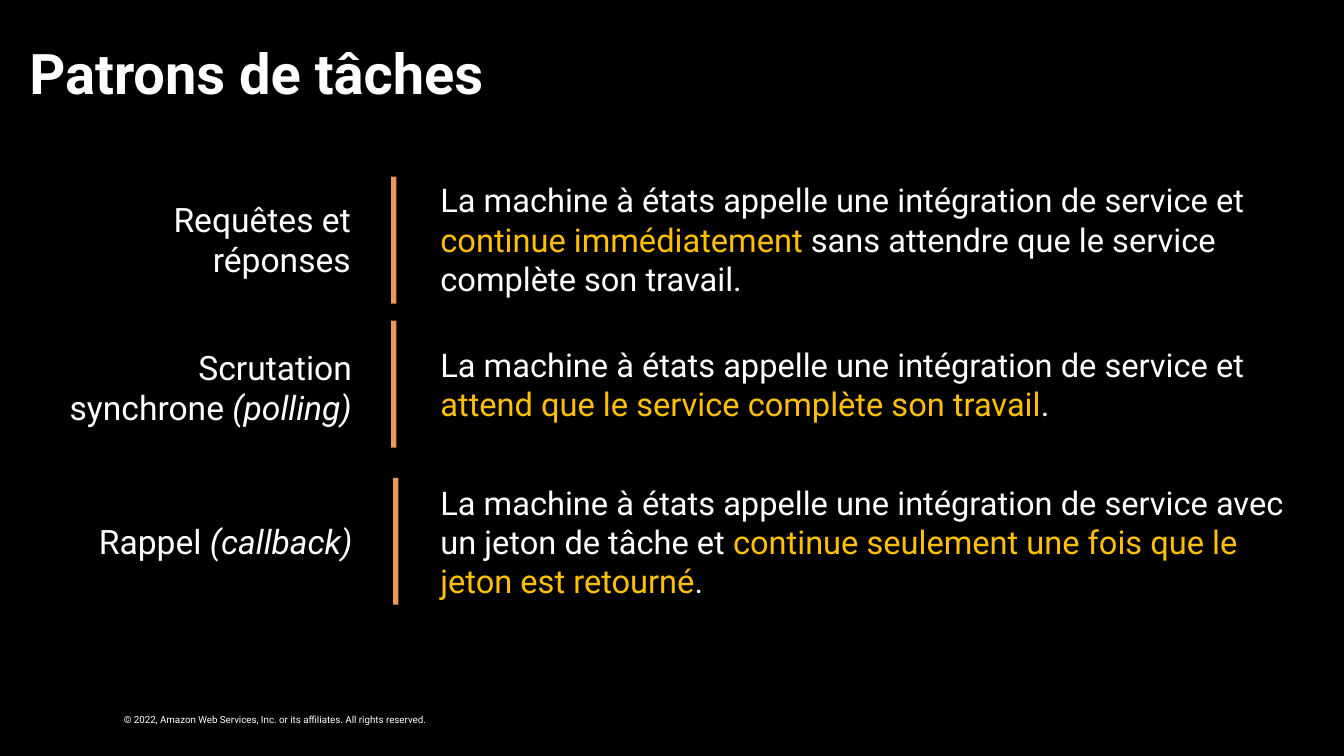
import pptx
import pptx.util
import pptx.dml.color
import pptx.enum.shapes
import pptx.enum.text

Cm = pptx.util.Cm
ALIGN = pptx.enum.text.PP_ALIGN
WHITE, GOLD, ORANGE, BLACK = "FFFFFF", "FFC000", "EB975C", "000000"

# Each row: label parts, label box, bar corner, text parts, text box (cm)
ROWS = [
    ([("Requêtes et réponses", "")], (0.76, 4.88, 8.33, 2.31), (9.86, 4.45),
     [("La machine à états appelle une intégration de service et ", ""),
      ("continue immédiatement ", "gold"),
      ("sans attendre que le service complète son travail.", "")],
     (10.85, 4.42, 21.21, 3.25)),
    ([("Scrutation synchrone ", ""), ("(polling)", "italic")],
     (0.79, 8.61, 8.33, 2.31), (9.86, 8.08),
     [("La machine à états appelle une intégration de service et ", ""),
      ("attend que le service complète son travail", "gold"), (".", "")],
     (10.85, 8.56, 21.84, 2.26)),
    ([("Rappel ", ""), ("(callback)", "italic")],
     (0.81, 13, 8.33, 1.27), (9.91, 12.04),
     [("La machine à états appelle une intégration de service avec "
       "un jeton de tâche et ", ""),
      ("continue seulement une fois que le jeton est retourné", "gold"),
      (".", "")],
     (10.85, 12.04, 22.25, 3.25)),
]


def paint(target, color):
    """Give a fill or a font one solid colour."""
    if hasattr(target, "solid"):
        target.solid()
        target = target.fore_color
    else:
        target = target.color
    target.rgb = pptx.dml.color.RGBColor.from_string(color)


def style(par, size, align=ALIGN.LEFT):
    par.alignment = align
    par.font.name = "Roboto"
    par.font.size = pptx.util.Pt(size)
    par.font.fill.solid()
    par.font.color.rgb = pptx.dml.color.RGBColor.from_string(WHITE)


def add_title(slide, text):
    title = slide.shapes.title
    title.left, title.top = Cm(0.74), Cm(1.04)
    title.width, title.height = Cm(32.39), Cm(1.78)
    frame = title.text_frame
    frame.text = text
    frame.auto_size = pptx.enum.text.MSO_AUTO_SIZE.NONE
    frame.margin_left = frame.margin_right = 0
    par = frame.paragraphs[0]
    style(par, 40)
    par.font.bold = True
    par.line_spacing = 0.9


def add_text(slide, parts, box, size, align=ALIGN.LEFT):
    frame = slide.shapes.add_textbox(*map(Cm, box)).text_frame
    frame.word_wrap = True
    par = frame.paragraphs[0]
    style(par, size, align)
    for text, look in parts:
        run = par.add_run()
        run.text = text
        if look == "gold":
            run.font.fill.solid()
            run.font.color.rgb = pptx.dml.color.RGBColor.from_string(GOLD)
        elif look == "italic":
            run.font.italic = True
    return frame


def add_bar(slide, left, top):
    bar = slide.shapes.add_shape(pptx.enum.shapes.MSO_SHAPE.RECTANGLE,
                                 Cm(left), Cm(top), Cm(0.13), Cm(3.2))
    bar.shadow.inherit = False
    paint(bar.fill, ORANGE)
    bar.line.fill.background()


def add_footer(slide, text):
    frame = add_text(slide, [(text, "")], (3.12, 17.98, 11, 0.3), 7)
    frame.margin_left = frame.margin_right = 0
    frame.margin_top = frame.margin_bottom = 0


def main():
    deck = pptx.Presentation()
    deck.slide_width, deck.slide_height = Cm(33.87), Cm(19.05)
    slide = deck.slides.add_slide(deck.slide_layouts.get_by_name("Title Only"))
    paint(slide.background.fill, BLACK)
    add_title(slide, "Patrons de tâches")
    for label, label_box, corner, text, text_box in ROWS:
        add_text(slide, label, label_box, 24, ALIGN.RIGHT)
        add_bar(slide, *corner)
        add_text(slide, text, text_box, 23.3)
    add_footer(slide, "© 2022, Amazon Web Services, Inc. or its affiliates. "
                      "All rights reserved.")
    deck.save("out.pptx")


if __name__ == "__main__":
    main()
